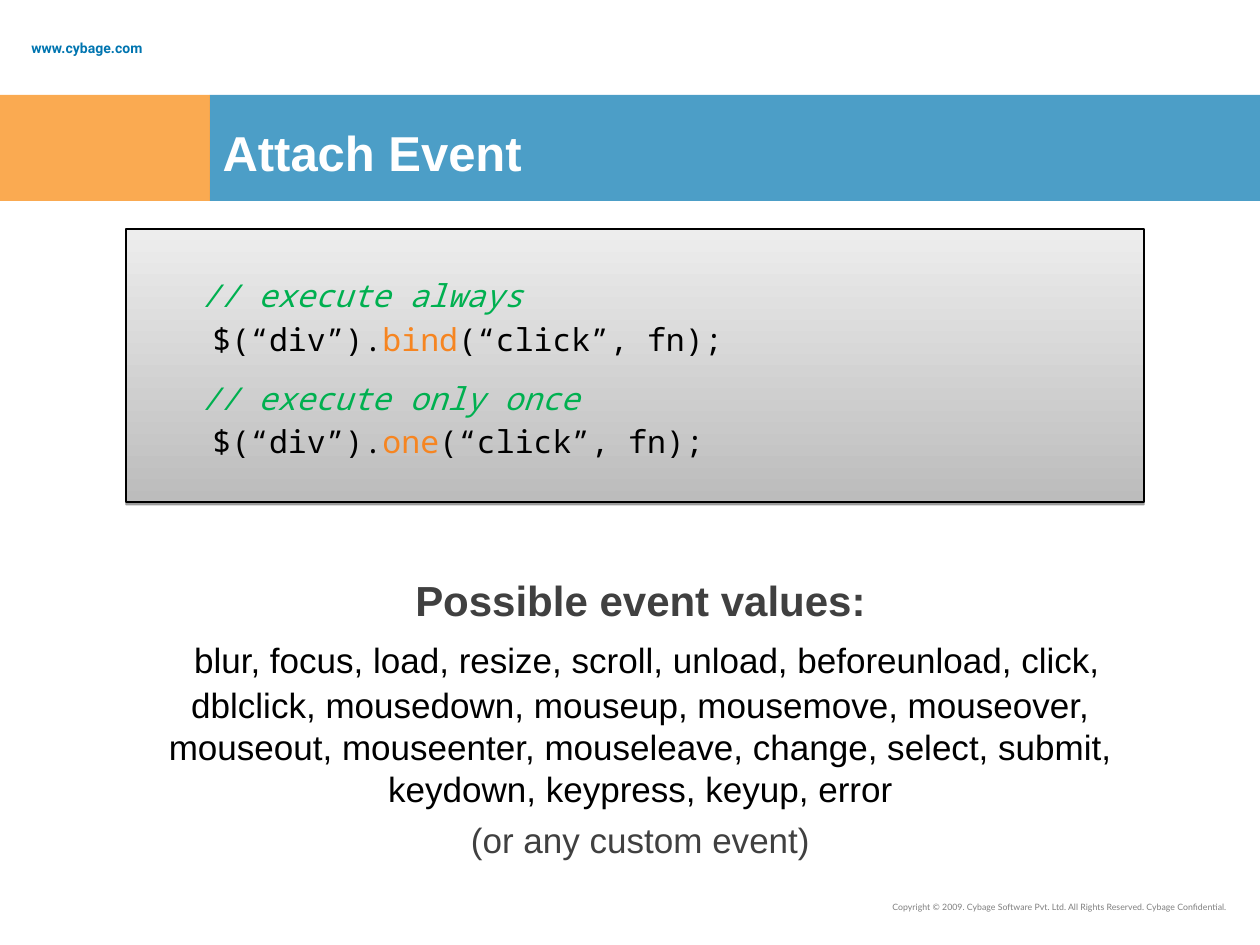
from dataclasses import dataclass, field

from lxml.etree import SubElement
from pptx import Presentation
from pptx.dml.color import RGBColor
from pptx.enum.shapes import MSO_SHAPE
from pptx.enum.text import MSO_ANCHOR as ANCHOR, MSO_AUTO_SIZE, PP_ALIGN as ALIGN
from pptx.oxml.ns import qn
from pptx.util import Emu, Pt

EMU_PER_PX = 914400 / 126
COLORS = {
    "blue": "0075B0", "orange": "F88608", "white": "FFFFFF", "black": "000000",
    "gray": "7F7F7F", "dark": "404040", "comment": "00B050", "method": "F68521",
    "panel_dark": "BCBCBC", "panel_light": "EDEDED",
}


@dataclass(frozen=True)
class Box:
    left: int
    top: int
    width: int
    height: int


@dataclass(frozen=True)
class Run:
    text: str
    size: int
    font: str
    color: str
    bold: bool = False
    italic: bool = False


@dataclass(frozen=True)
class Block:
    """A paragraph given as lines of runs, with its paragraph format."""
    lines: list[list[Run]]
    format: dict = field(default_factory=dict)
    margin: int = 0
    indent: int = 0


def px(length: int) -> Emu:
    return Emu(round(length * EMU_PER_PX))


def rgb(name: str) -> RGBColor:
    return RGBColor.from_string(COLORS[name])


def place(shape, box: Box) -> None:
    for side in ("left", "top", "width", "height"):
        setattr(shape, side, px(getattr(box, side)))


def add_run(paragraph, part: Run) -> None:
    run = paragraph.add_run()
    run.text = part.text
    style = {"size": Pt(part.size), "name": part.font,
             "bold": part.bold, "italic": part.italic}
    for name, value in style.items():
        setattr(run.font, name, value)
    run.font.color.rgb = rgb(part.color)


def write(shape, blocks: list[Block], anchor=ANCHOR.TOP) -> None:
    frame = shape.text_frame
    frame.word_wrap = True
    frame.auto_size = MSO_AUTO_SIZE.NONE
    frame.vertical_anchor = anchor
    for number, block in enumerate(blocks):
        paragraph = frame.add_paragraph() if number else frame.paragraphs[0]
        properties = paragraph._p.get_or_add_pPr()
        properties.set("marL", str(px(block.margin)))
        properties.set("indent", str(px(block.indent)))
        SubElement(properties, qn("a:buNone"))
        style = {"alignment": ALIGN.LEFT, **block.format}
        if number == 0:
            style["space_before"] = Pt(0)
        for name, value in style.items():
            setattr(paragraph, name, value)
        for line_number, line in enumerate(block.lines):
            if line_number:
                paragraph.add_line_break()
            for part in line:
                add_run(paragraph, part)


def fill_translucent(shape, color: str, percent: int) -> None:
    shape.fill.solid()
    shape.fill.fore_color.rgb = rgb(color)
    srgb = shape._element.spPr.find(f"{qn('a:solidFill')}/{qn('a:srgbClr')}")
    SubElement(srgb, qn("a:alpha"), val=str(percent * 1000))
    shape.line.fill.background()


def add_rectangle(slide, box: Box):
    shape = slide.shapes.add_shape(MSO_SHAPE.RECTANGLE, 0, 0, 0, 0)
    place(shape, box)
    shape.shadow.inherit = False
    return shape


def add_label(slide, box: Box, block: Block, anchor=ANCHOR.TOP) -> None:
    label = slide.shapes.add_textbox(0, 0, 0, 0)
    place(label, box)
    write(label, [block], anchor)


def add_code_panel(slide, box: Box, blocks: list[Block]) -> None:
    panel = add_rectangle(slide, box)
    panel.fill.gradient()
    panel.fill.gradient_angle = 90
    for stop, color in zip(panel.fill.gradient_stops, ("panel_dark", "panel_light")):
        stop.color.rgb = rgb(color)
    panel.line.color.rgb = rgb("black")
    panel.line.width = Pt(0.75)
    effects = panel._element.spPr.find(qn("a:effectLst"))
    shadow = SubElement(effects, qn("a:outerShdw"), blurRad="0", dist=str(Pt(1.6)),
                        dir="5400000", rotWithShape="0")
    shade = SubElement(shadow, qn("a:srgbClr"), val=COLORS["black"])
    SubElement(shade, qn("a:alpha"), val="38000")
    write(panel, blocks, ANCHOR.MIDDLE)


def code_block(comment: str, method: str) -> Block:
    def code(text: str, color: str = "black", italic: bool = False) -> Run:
        return Run(text, 18, "Noto Sans Mono", color, italic=italic)

    return Block(
        [[code(comment, "comment", italic=True)],
         [code("$(“div”)."), code(method, "method"), code("(“click”, fn);")]],
        {"line_spacing": 1.15, "space_before": Pt(4.5), "space_after": Pt(4.5)},
        margin=74, indent=-11)


def main() -> None:
    deck = Presentation()
    deck.slide_width, deck.slide_height = px(1260), px(945)
    slide = deck.slides.add_slide(deck.slide_layouts[1])
    title, events = slide.placeholders

    add_label(slide, Box(19, 32, 189, 24),
              Block([[Run("www.cybage.com", 8, "Roboto", "blue", bold=True)]],
                    {"line_spacing": 1.5}), ANCHOR.MIDDLE)
    copyright_line = ("Copyright © 2009. Cybage Software Pvt. Ltd. "
                      "All Rights Reserved. Cybage Confidential.")
    add_label(slide, Box(796, 896, 444, 33),
              Block([[Run(copyright_line, 5, "Lato", "gray")]],
                    {"alignment": ALIGN.RIGHT}))

    place(title, Box(210, 95, 1050, 106))
    fill_translucent(title, "blue", 70)
    write(title, [Block([[Run("Attach Event", 28, "Arial", "white", bold=True)]],
                        {"line_spacing": 1.15})], ANCHOR.MIDDLE)
    fill_translucent(add_rectangle(slide, Box(0, 95, 210, 106)), "orange", 70)

    add_code_panel(slide, Box(126, 229, 1018, 273),
                   [code_block("// execute always", "bind"),
                    code_block("// execute only once", "one")])

    event_names = ("blur, focus, load, resize, scroll, unload, beforeunload, click, "
                   "dblclick, mousedown, mouseup, mousemove, mouseover, mouseout, "
                   "mouseenter, mouseleave, change, select, submit, keydown, "
                   "keypress, keyup, error")
    centered = {"alignment": ALIGN.CENTER, "space_before": Pt(5)}
    place(events, Box(105, 568, 1071, 326))
    write(events, [
        Block([[Run("Possible event values:", 24, "Arial", "dark", bold=True)],
               [Run(" ", 28, "Arial", "black"),
                Run(event_names, 20, "Arial", "black")]], centered),
        Block([[Run("(or any custom event)", 20, "Arial", "dark")]], centered),
    ])
    deck.save("out.pptx")


if __name__ == "__main__":
    main()
